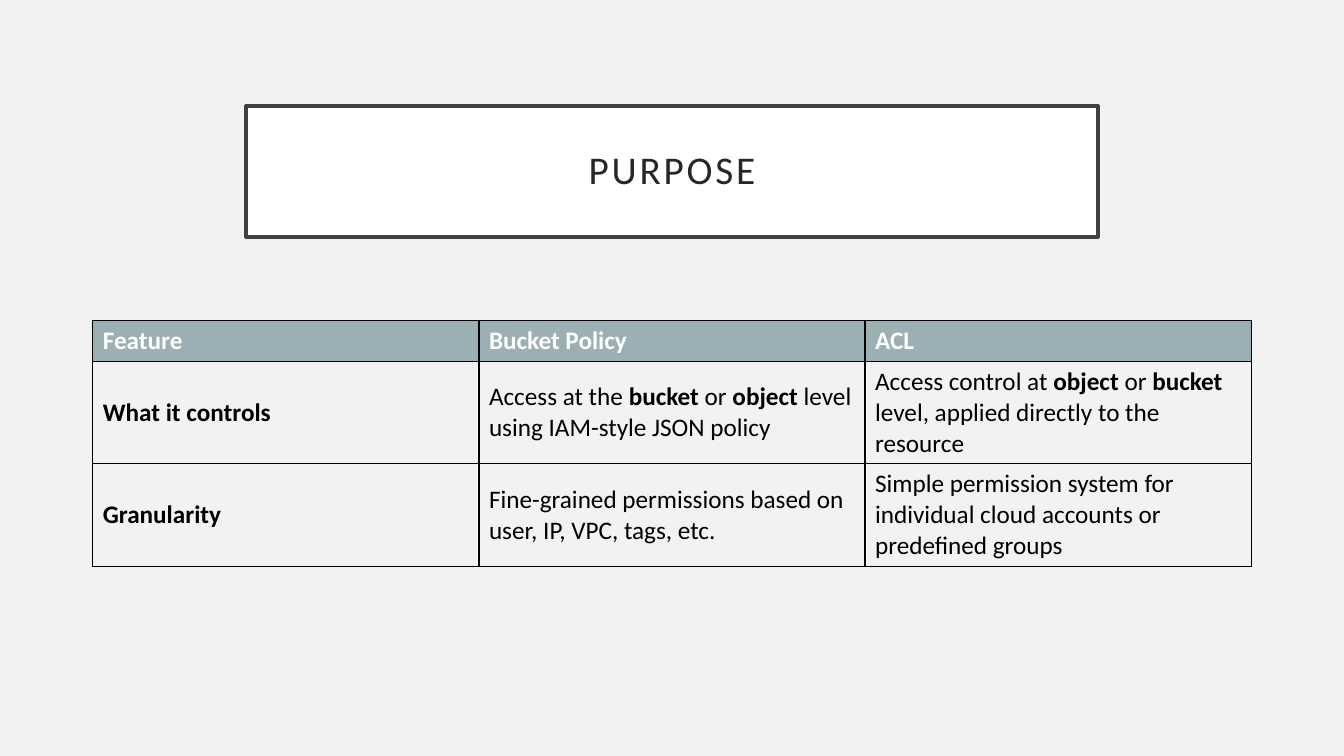
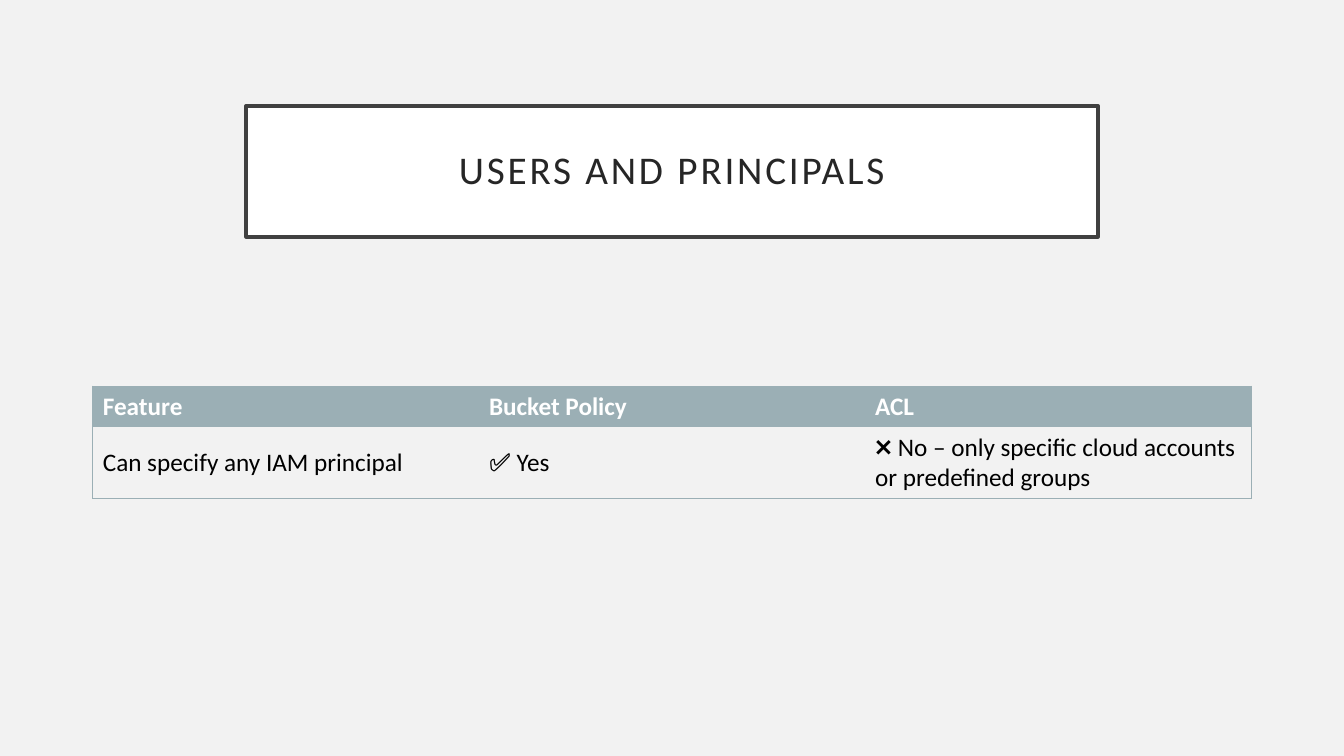
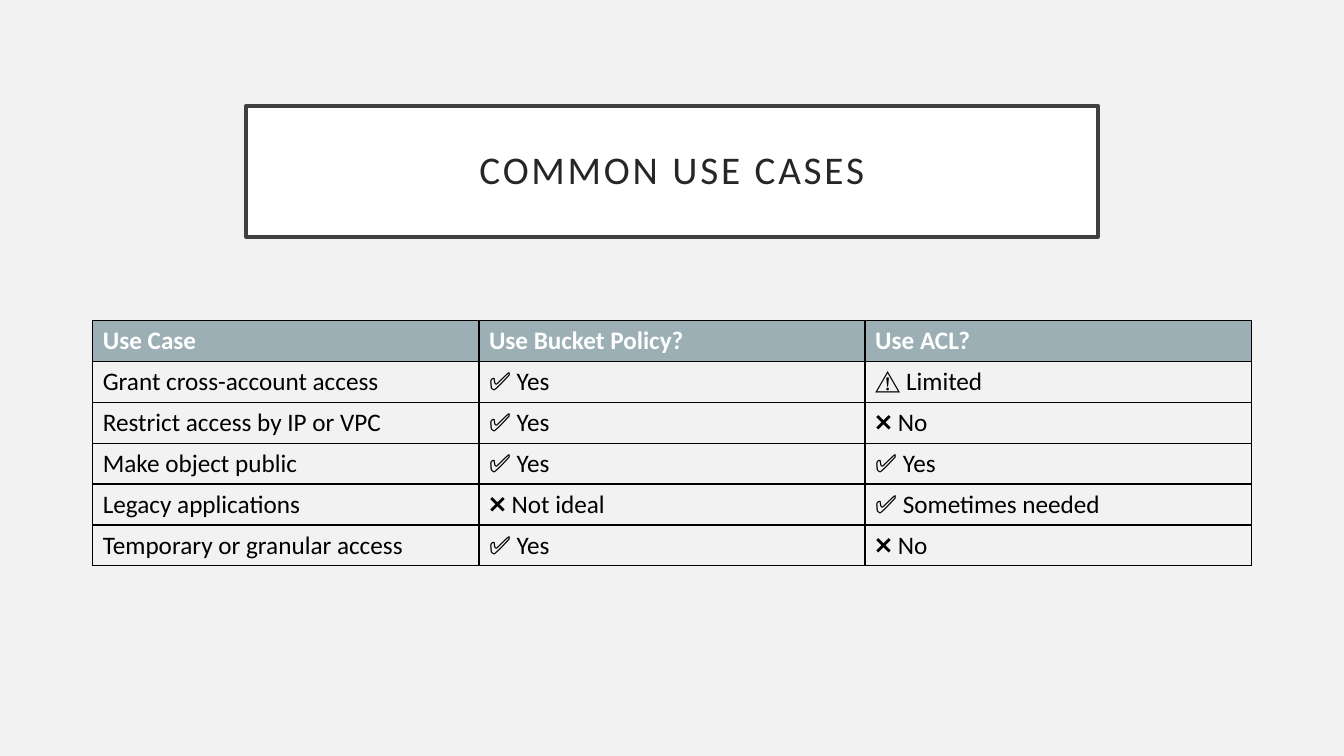
from lxml import etree
from pptx import Presentation
from pptx import util as u
from pptx.dml.color import RGBColor
from pptx.enum import text
from pptx.oxml.ns import qn

PX = 9144  # 100 px to the inch
FONT = "Calibri"
PAPER, WHITE, BLACK = "F2F2F2", "FFFFFF", "000000"
FRAME, TITLE_INK, HEADER = "404040", "262626", "9BAFB5"

TITLE_BOX = (244, 105, 845, 130)
TITLE_INSET = 20
TABLE_LEFT, COLUMN_WIDTH = 92, 383
LINE_HEIGHT, ROW_PADDING = 30, 10

# Text between ** marks is bold. Each body row gives its number of lines, then its cells.
SLIDES = [
    {
        "title": "PURPOSE", "top": 318, "grid": True,
        "header": ("Feature", "Bucket Policy", "ACL"),
        "rows": [
            (3, "**What it controls**",
             "Access at the **bucket** or **object** level using IAM-style JSON policy",
             "Access control at **object** or **bucket** level, applied directly to the resource"),
            (3, "**Granularity**",
             "Fine-grained permissions based on user, IP, VPC, tags, etc.",
             "Simple permission system for individual cloud accounts or predefined groups"),
        ],
    },
    {
        "title": "USERS AND PRINCIPALS", "top": 383, "grid": False,
        "header": ("Feature", "Bucket Policy", "ACL"),
        "rows": [
            (2, "Can specify any IAM principal", "✅ Yes",
             "❌ No – only specific cloud accounts or predefined groups"),
        ],
    },
    {
        "title": "COMMON USE CASES", "top": 318, "grid": True,
        "header": ("Use Case", "Use Bucket Policy?", "Use ACL?"),
        "rows": [
            (1, "Grant cross-account access", "✅ Yes", "⚠️ Limited"),
            (1, "Restrict access by IP or VPC", "✅ Yes", "❌ No"),
            (1, "Make object public", "✅ Yes", "✅ Yes"),
            (1, "Legacy applications", "❌ Not ideal", "✅ Sometimes needed"),
            (1, "Temporary or granular access", "✅ Yes", "❌ No"),
        ],
    },
]


def rgb(value):
    return RGBColor.from_string(value)


def px(*lengths):
    return [u.Emu(length * PX) for length in lengths]


def write(frame, content, size=18, color=BLACK, bold=False, align=None,
          line_spacing=None, tracking=None):
    """Fill a text frame; ** marks switch bold on and off."""
    frame.word_wrap = True
    paragraph = frame.paragraphs[0]
    paragraph.alignment = align
    paragraph.line_spacing = line_spacing
    for index, part in enumerate(content.split("**")):
        if not part:
            continue
        run = paragraph.add_run()
        run.text = part
        run.font.name, run.font.size = FONT, u.Pt(size)
        run.font.color.rgb = rgb(color)
        run.font.bold = bold or index % 2 == 1
        if tracking:
            run.font._element.set("spc", str(tracking * 100))


def set_borders(cell, borders):
    """Draw (colour, points) per side, or no line where a side has None."""
    properties = cell._tc.get_or_add_tcPr()
    for side in "LRTB":
        line = etree.SubElement(properties, qn(f"a:ln{side}"))
        if borders[side] is None:
            etree.SubElement(line, qn("a:noFill"))
            continue
        color, points = borders[side]
        line.set("w", str(u.Pt(points)))
        fill = etree.SubElement(line, qn("a:solidFill"))
        etree.SubElement(fill, qn("a:srgbClr")).set("val", color)


def cell_borders(grid, row, column, last_row, last_column):
    if grid:
        thin, thick = (BLACK, 1), (BLACK, 1.5)
        return {"L": thin, "R": thin,
                "T": thick if row == 1 else thin,
                "B": thick if row == 0 else thin}
    outline = (HEADER, 0.5)
    return {"L": outline if column == 0 else None,
            "R": outline if column == last_column else None,
            "T": outline if row == 0 else None,
            "B": outline if row == last_row else None}


def add_title(slide, content):
    title = slide.shapes.title
    title.left, title.top, title.width, title.height = px(*TITLE_BOX)
    title.fill.solid()
    title.fill.fore_color.rgb = rgb(WHITE)
    title.line.color.rgb = rgb(FRAME)
    title.line.width = u.Pt(2.5)
    frame = title.text_frame
    frame.auto_size = text.MSO_AUTO_SIZE.NONE
    frame.vertical_anchor = text.MSO_ANCHOR.MIDDLE
    frame.margin_left, frame.margin_top, frame.margin_right, frame.margin_bottom = px(
        *[TITLE_INSET] * 4)
    write(frame, content, size=28, color=TITLE_INK, align=text.PP_ALIGN.CENTER,
          line_spacing=0.9, tracking=2)


def add_comparison(slide, top, grid, header, rows):
    rows = [(1, *header), *rows]
    heights = [ROW_PADDING + LINE_HEIGHT * lines for lines, *_ in rows]
    columns = len(header)
    table = slide.shapes.add_table(
        len(rows), columns,
        *px(TABLE_LEFT, top, COLUMN_WIDTH * columns, sum(heights))).table
    table.horz_banding = False
    for column in table.columns:
        column.width = px(COLUMN_WIDTH)[0]
    for r, (_, *contents) in enumerate(rows):
        table.rows[r].height = px(heights[r])[0]
        for c, content in enumerate(contents):
            cell = table.cell(r, c)
            cell.vertical_anchor = text.MSO_ANCHOR.MIDDLE
            set_borders(cell, cell_borders(grid, r, c, len(rows) - 1, columns - 1))
            if r == 0:
                cell.fill.solid()
                cell.fill.fore_color.rgb = rgb(HEADER)
                write(cell.text_frame, content, color=WHITE, bold=True)
            else:
                cell.fill.background()
                write(cell.text_frame, content)


def main():
    deck = Presentation()
    deck.slide_width, deck.slide_height = px(1333, 750)
    backdrop = deck.slide_master.background.fill
    backdrop.solid()
    backdrop.fore_color.rgb = rgb(PAPER)
    title_only = deck.slide_layouts[5]
    for content in SLIDES:
        slide = deck.slides.add_slide(title_only)
        add_title(slide, content["title"])
        add_comparison(slide, content["top"], content["grid"],
                       content["header"], content["rows"])
    deck.save("out.pptx")


if __name__ == "__main__":
    main()
